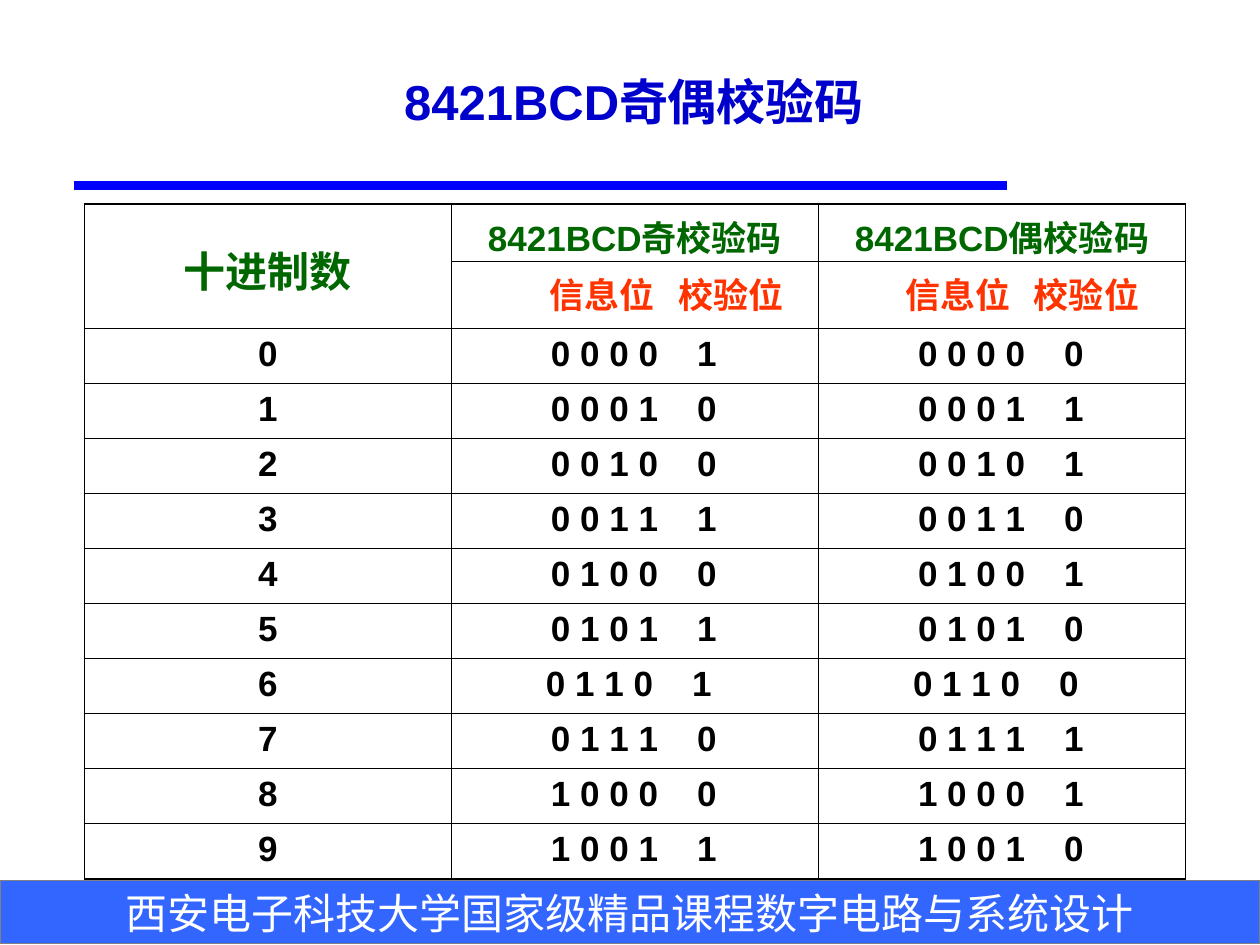
from lxml import etree
from pptx import Presentation, util as u
from pptx.dml.color import RGBColor
from pptx.enum import shapes, text
from pptx.oxml.ns import qn

W, H = u.Inches(10), u.Inches(7.5)
FONT = "Arial"
C = {"title": "0000CC", "rule": "0000FF", "head": "006600", "bits": "FF3300",
     "ink": "000000", "band": "3366FF", "edge": "808080", "white": "FFFFFF"}
ROWS = [0.44, 0.5] + [0.44] * 10
OUTER, INNER = 1.08, 0.45


def rgb(name):
    """Return a palette colour."""
    return RGBColor.from_string(C[name])


def write(tf, words, size, color, bold=True, align=text.PP_ALIGN.CENTER, tab=None):
    """Write one paragraph, with an optional tab stop in inches."""
    p = tf.paragraphs[0]
    if tab:
        tabs = etree.SubElement(p._p.get_or_add_pPr(), qn("a:tabLst"))
        etree.SubElement(tabs, qn("a:tab"), pos=str(u.Inches(tab)), algn="l")
    p.alignment = align
    r = p.add_run()
    r.text = words
    r.font.name, r.font.size, r.font.bold = FONT, u.Pt(size), bold
    r.font.color.rgb = rgb(color)


def add_title(s, x, y, w, h):
    """Place the slide title in its box."""
    tf = s.shapes.add_textbox(x, y, w, h).text_frame
    tf.word_wrap = True
    write(tf, "8421BCD奇偶校验码", 28, "title", align=text.PP_ALIGN.LEFT)


def add_rule(s, x, y, w):
    """Draw the thick rule below the title."""
    line = s.shapes.add_connector(shapes.MSO_CONNECTOR.STRAIGHT, x, y, x + w, y)
    line.line.color.rgb = rgb("rule")
    line.line.width = u.Pt(5)
    etree.SubElement(line._element.spPr, qn("a:effectLst"))


def add_footer(s, x, y, w, h):
    """Draw the course band at the foot."""
    sp = s.shapes.add_shape(shapes.MSO_SHAPE.RECTANGLE, x, y, w, h)
    sp.shadow.inherit = False
    sp.fill.solid()
    sp.fill.fore_color.rgb = rgb("band")
    sp.line.color.rgb = rgb("edge")
    sp.line.width = u.Pt(0.75)
    sp.text_frame.vertical_anchor = text.MSO_ANCHOR.MIDDLE
    write(sp.text_frame, "西安电子科技大学国家级精品课程数字电路与系统设计", 24, "white", False)


def set_borders(cell, row, col):
    """Give a cell thin inner borders and thicker outer ones."""
    edges = {"lnL": col == 0, "lnR": col == 2,
             "lnT": row == 0, "lnB": row == len(ROWS) - 1}
    tcPr = cell._tc.get_or_add_tcPr()
    for i, (tag, outer) in enumerate(edges.items()):
        ln = etree.Element(qn(f"a:{tag}"), w=str(u.Pt(OUTER if outer else INNER)))
        fill = etree.SubElement(ln, qn("a:solidFill"))
        etree.SubElement(fill, qn("a:srgbClr"), val=C["ink"])
        tcPr.insert(i, ln)


def write_pair(cell, words, color, inset, tab):
    """Write information and check bits as two tabbed columns."""
    cell.margin_left = u.Inches(inset)
    write(cell.text_frame, "\t".join(words), 20, color,
          align=text.PP_ALIGN.LEFT, tab=tab)


def add_code_table(s, x, y, w, h):
    """Build the odd and even parity table."""
    t = s.shapes.add_table(len(ROWS), 3, x, y, w, h).table
    t.first_row = t.horz_banding = False
    for column in t.columns:
        column.width = w // 3
    for row, share in zip(t.rows, ROWS):
        row.height = int(h * share / sum(ROWS))
    for i in range(len(ROWS)):
        for j in range(3):
            t.cell(i, j).fill.background()
            set_borders(t.cell(i, j), i, j)
            if i < 2:
                t.cell(i, j).margin_bottom = 0
    t.cell(0, 0).merge(t.cell(1, 0))
    t.cell(0, 0).vertical_anchor = text.MSO_ANCHOR.MIDDLE
    write(t.cell(0, 0).text_frame, "十进制数", 24, "head")
    for j, (kind, inset) in enumerate([("奇", 0.78), ("偶", 0.69)], 1):
        write(t.cell(0, j).text_frame, f"8421BCD{kind}校验码", 20, "head")
        write_pair(t.cell(1, j), ("信息位", "校验位"), "bits", inset, 1.02)
    for n in range(10):
        bits = f"{n:04b}"
        even = bits.count("1") % 2
        inset = 0.75 if n == 6 else 0.79
        write(t.cell(n + 2, 0).text_frame, str(n), 20, "ink")
        for j, check in enumerate((1 - even, even), 1):
            write_pair(t.cell(n + 2, j), (" ".join(bits), str(check)), "ink", inset, 1.16)


def main():
    """Build and save the slide."""
    prs = Presentation()
    prs.slide_width, prs.slide_height = W, H
    s = prs.slides.add_slide(prs.slide_layouts[6])
    add_footer(s, 0, u.Inches(6.99), W, u.Inches(0.5))
    add_rule(s, u.Inches(0.59), u.Inches(1.47), u.Inches(7.4))
    add_code_table(s, u.Inches(0.67), u.Inches(1.62), u.Inches(8.74), u.Inches(5.3))
    add_title(s, u.Inches(3.11), u.Inches(0.52), u.Inches(5.2), u.Inches(0.57))
    prs.save("out.pptx")


if __name__ == "__main__":
    main()
